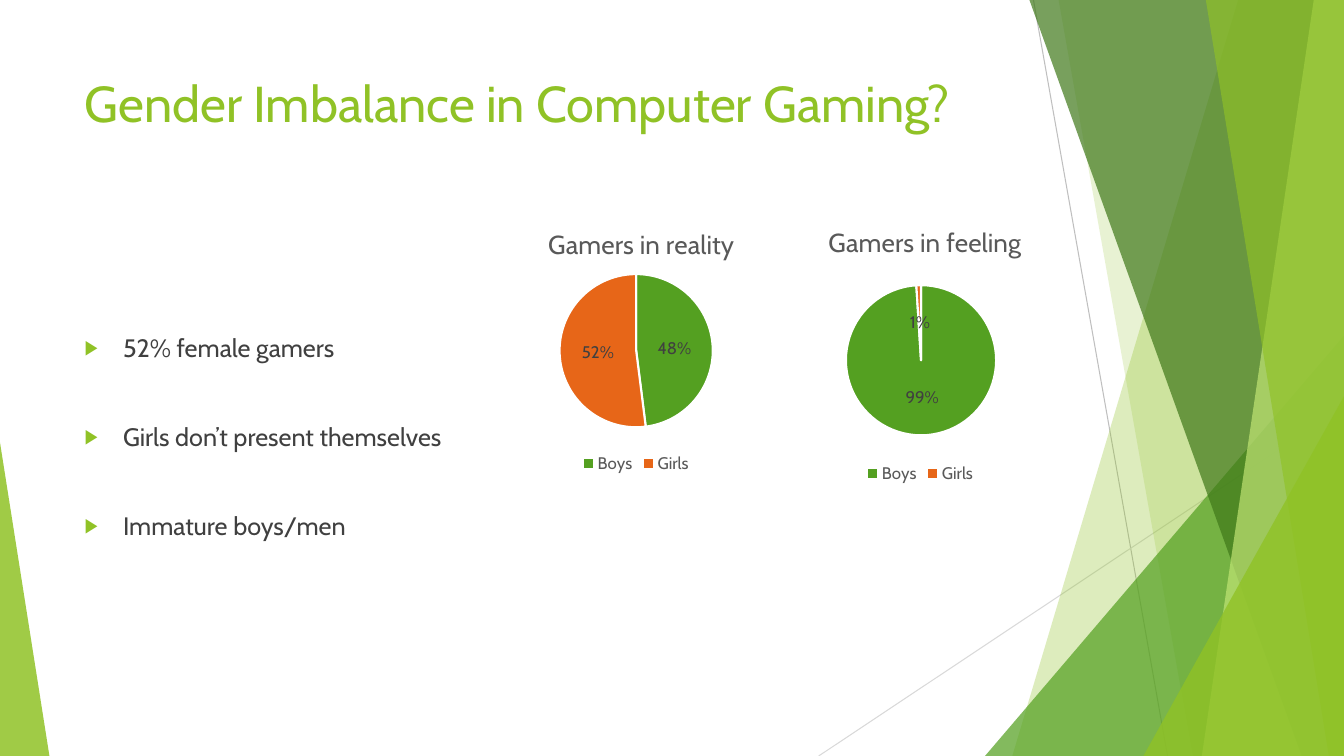
from lxml.etree import SubElement
from pptx import Presentation
from pptx.chart.data import CategoryChartData
from pptx.dml.color import RGBColor
from pptx.enum.chart import XL_CHART_TYPE as ChartType
from pptx.enum.chart import XL_LABEL_POSITION as LabelPosition
from pptx.enum.chart import XL_LEGEND_POSITION as LegendPosition
from pptx.enum.shapes import MSO_CONNECTOR as Connector
from pptx.enum.shapes import MSO_SHAPE as Preset
from pptx.enum.text import MSO_ANCHOR as Anchor
from pptx.enum.text import MSO_AUTO_SIZE as AutoSize
from pptx.enum.text import PP_ALIGN as Align
from pptx.oxml.ns import qn
from pptx.util import Inches, Pt

FONT = "Cabin"
LIME, GREEN, ORANGE = "90C226", "54A021", "E76618"
DARK, GRAY = "404040", "595959"
WIDTH, HEIGHT = 13.33, 7.5
CHART_SIZE = (3.68, 2.73)


def rgb(color):
    return RGBColor.from_string(color)


def style_font(font, size, color):
    font.name = FONT
    font.size = Pt(size)
    font.bold = False
    font.color.rgb = rgb(color)


def paint(shape, color, opacity):
    shape.shadow.inherit = False
    shape.line.fill.background()
    shape.fill.solid()
    shape.fill.fore_color.rgb = rgb(color)
    tint = shape.fill._xPr.find(qn("a:solidFill"))[0]
    SubElement(tint, qn("a:alpha"), val=str(opacity * 1000))


def add_line(page, start, end, color):
    line = page.shapes.add_connector(
        Connector.STRAIGHT, *[Inches(value) for value in (*start, *end)])
    line.line.color.rgb = rgb(color)
    line.line.width = Pt(0.75)
    SubElement(line.element.spPr, qn("a:effectLst"))


def add_band(page, top_left, bottom_left, color, opacity):
    """Band that runs from a slanted left edge to the right edge of the slide."""
    builder = page.shapes.build_freeform(Inches(top_left), 0)
    corners = [(WIDTH, 0), (WIDTH, HEIGHT), (bottom_left, HEIGHT)]
    builder.add_line_segments([(Inches(x), Inches(y)) for x, y in corners])
    paint(builder.convert_to_shape(), color, opacity)


def add_triangle(page, left, top, width, peak, color, opacity):
    """Triangle that stands on the bottom edge of the slide."""
    shape = page.shapes.add_shape(
        Preset.ISOSCELES_TRIANGLE, Inches(left), Inches(top),
        Inches(width), Inches(HEIGHT - top))
    shape.adjustments[0] = peak
    paint(shape, color, opacity)


def add_decoration(page):
    add_line(page, (10.25, 0), (11.58, HEIGHT), "BFBFBF")
    add_line(page, (WIDTH, 4.03), (8.12, HEIGHT), "D9D9D9")
    add_band(page, 12.28, 10.04, LIME, 30)
    add_band(page, 10.5, 11.83, LIME, 20)
    add_triangle(page, 9.77, 3.33, 3.56, 1, GREEN, 72)
    add_band(page, 10.21, 12.91, "3F7819", 70)
    add_band(page, 13.03, 11.92, "C0E474", 70)
    add_band(page, 11.96, 13.18, LIME, 65)
    add_triangle(page, 11.34, 3.93, 1.99, 1, LIME, 80)
    add_triangle(page, 0, 4.39, 0.49, 0, LIME, 85)


def place(page, box, top, height):
    """Move a placeholder to its spot, in front of the decoration."""
    page.shapes.element.append(box.element)
    box.left, box.top = Inches(0.74), Inches(top)
    box.width, box.height = Inches(9.4), Inches(height)
    frame = box.text_frame
    frame.auto_size = AutoSize.NONE
    frame.word_wrap = True
    frame.vertical_anchor = Anchor.TOP
    return frame


def add_span(para, text, size, color):
    para.alignment = Align.LEFT
    span = para.add_run()
    span.text = text
    style_font(span.font, size, color)


def add_bullet(para):
    props = para._p.get_or_add_pPr()
    props.set("marL", str(Inches(0.38)))
    props.set("indent", str(-Inches(0.38)))
    tint = SubElement(props, qn("a:buClr"))
    SubElement(tint, qn("a:srgbClr"), val=LIME)
    SubElement(props, qn("a:buSzPct"), val="80000")
    SubElement(props, qn("a:buFont"), typeface="Arial")
    SubElement(props, qn("a:buChar"), char="▶")


def add_list(frame, items):
    frame.margin_top = Inches(0.94)
    for index, item in enumerate(items):
        para = frame.add_paragraph() if index else frame.paragraphs[0]
        para.space_before = Pt(42 if index else 0)
        add_bullet(para)
        add_span(para, item, 18, DARK)


def set_layout(parent, position, **values):
    """Fix the place of a chart part, given as fractions of the chart."""
    for old in parent.findall(qn("c:layout")):
        parent.remove(old)
    layout = SubElement(parent, qn("c:layout"))
    parent.insert(position, layout)
    manual = SubElement(layout, qn("c:manualLayout"))
    for name, value in values.items():
        SubElement(manual, qn("c:" + name), val=str(value))


def add_pie(page, left, top, name, shares, title_at, pie_at, diameter):
    data = CategoryChartData()
    data.categories = ["Boys", "Girls"]
    data.add_series(name, shares)
    width, height = CHART_SIZE
    chart = page.shapes.add_chart(
        ChartType.PIE, Inches(left), Inches(top),
        Inches(width), Inches(height), data).chart
    style_font(chart.font, 10, "000000")

    # Title
    chart.has_title = True
    add_span(chart.chart_title.text_frame.paragraphs[0], name, 18.6, GRAY)
    chart.chart_title.include_in_layout = False
    set_layout(chart.chart_title.element, 1, xMode="edge", yMode="edge",
               x=title_at[0] / width, y=title_at[1] / height)

    # Legend
    chart.has_legend = True
    chart.legend.position = LegendPosition.BOTTOM
    chart.legend.include_in_layout = False
    style_font(chart.legend.font, 12, GRAY)

    # Slices and labels
    plot = chart.plots[0]
    plot.vary_by_categories = True
    for index, color in enumerate((GREEN, ORANGE)):
        part = plot.series[0].points[index].format
        part.fill.solid()
        part.fill.fore_color.rgb = rgb(color)
        part.line.color.rgb = rgb("FFFFFF")
        part.line.width = Pt(1.5)
    labels = plot.series[0].data_labels
    labels.show_percentage = True
    labels.show_value = False
    labels.number_format = "0%"
    labels.number_format_is_linked = False
    labels.position = LabelPosition.CENTER
    style_font(labels.font, 12, DARK)
    area = chart.element.find(".//" + qn("c:plotArea"))
    set_layout(area, 0, layoutTarget="inner", xMode="edge", yMode="edge",
               x=pie_at[0] / width, y=pie_at[1] / height,
               w=diameter / width, h=diameter / height)


def main():
    deck = Presentation()
    deck.slide_width, deck.slide_height = Inches(WIDTH), Inches(HEIGHT)
    page = deck.slides.add_slide(deck.slide_layouts[1])
    add_decoration(page)

    # Title and list
    title = place(page, page.shapes.title, 0.67, 1.44)
    add_span(title.paragraphs[0], "Gender Imbalance in Computer Gaming?", 36, LIME)
    body = place(page, page.placeholders[1], 2.36, 4.24)
    add_list(body, ["52% female gamers", "Girls don’t present themselves",
                    "Immature boys/men"])

    # Charts
    add_pie(page, 4.47, 2.01, "Gamers in reality", (48, 52),
            (0.92, 0.19), (1.08, 0.71), 1.52)
    add_pie(page, 7.29, 2.11, "Gamers in feeling", (99, 1),
            (0.88, 0.07), (1.1, 0.72), 1.49)
    deck.save("out.pptx")


if __name__ == "__main__":
    main()
